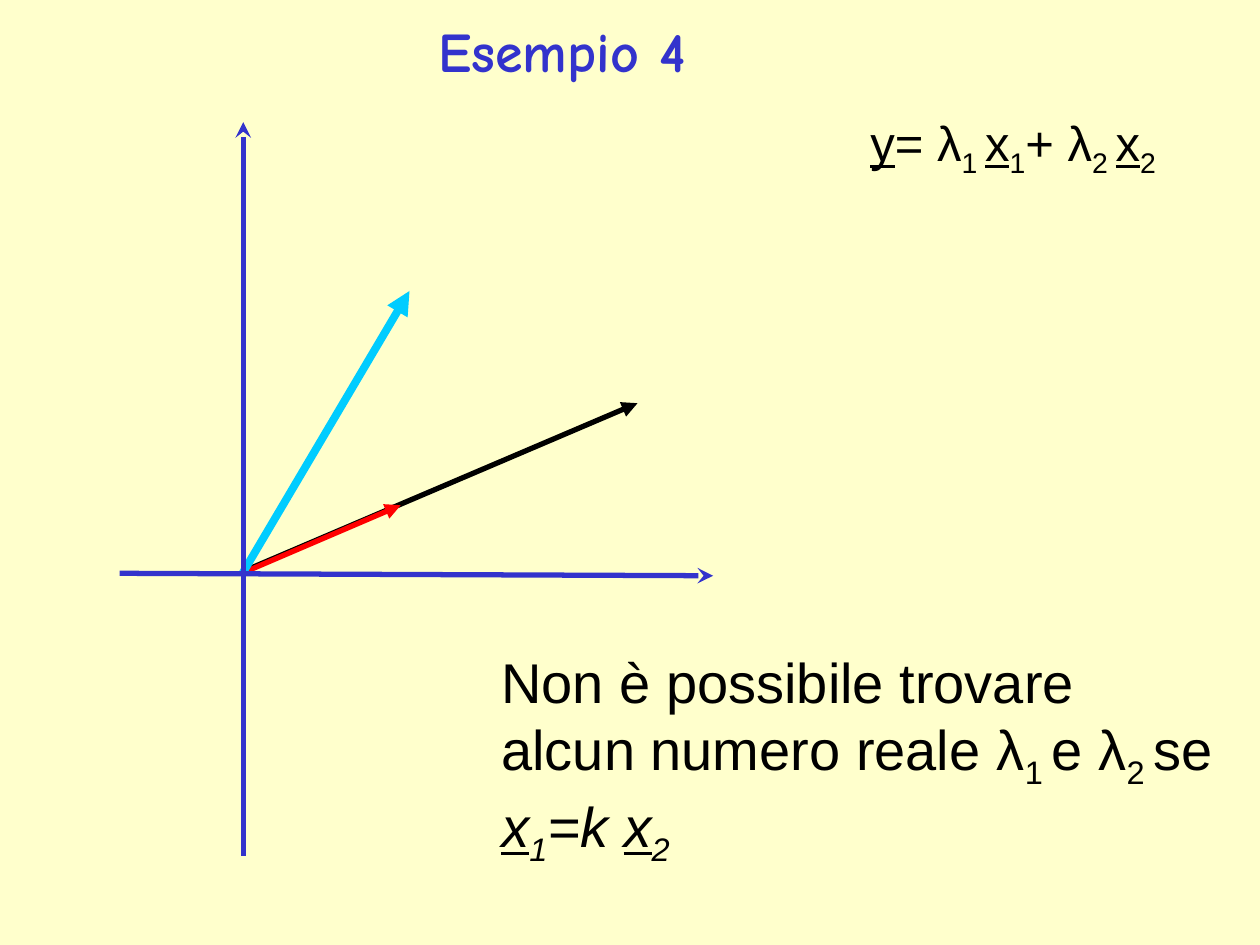
from lxml import etree
from pptx import Presentation
from pptx.dml.color import RGBColor
from pptx.enum.shapes import MSO_CONNECTOR
from pptx.enum.text import MSO_ANCHOR
from pptx.oxml.ns import qn
from pptx.util import Pt

STRAIGHT = MSO_CONNECTOR.STRAIGHT
TOP = MSO_ANCHOR.TOP
MIDDLE = MSO_ANCHOR.MIDDLE

COLOURS = {
    "paper": "FFFFCC",
    "ink": "000000",
    "blue": "3333CC",
    "red": "FF0000",
    "cyan": "00CCFF",
}


class SlideWriter:
    def __init__(self, deck):
        self.font = "Arial"
        self.page = deck.slides.add_slide(deck.slide_layouts[6])
        fill = self.page.background.fill
        fill.solid()
        fill.fore_color.rgb = self.colour("paper")

    def colour(self, name):
        return RGBColor.from_string(COLOURS[name])

    def arrow(self, start, end, colour, width=3, head="triangle"):
        points = [Pt(value) for value in (*start, *end)]
        connector = self.page.shapes.add_connector(STRAIGHT, *points)
        connector.line.color.rgb = self.colour(colour)
        connector.line.width = Pt(width)
        outline = connector.line._get_or_add_ln()
        etree.SubElement(outline, qn("a:tailEnd"), type=head)
        etree.SubElement(connector._element.spPr, qn("a:effectLst"))

    def text(self, place, spans, size, colour="ink", font=None,
             bold=False, wrap=True, anchor=TOP, spacing=None):
        box = self.page.shapes.add_textbox(*[Pt(value) for value in place])
        frame = box.text_frame
        frame.word_wrap = wrap
        frame.vertical_anchor = anchor
        para = frame.paragraphs[0]
        para.line_spacing = spacing
        for words, marks in spans:
            span = para.add_run()
            span.text = words
            span.font.name = font or self.font
            span.font.size = Pt(size)
            span.font.bold = bold
            span.font.italic = "i" in marks
            span.font.underline = "u" in marks
            span.font.color.rgb = self.colour(colour)
            if "s" in marks:
                span.font._element.set("baseline", "-25000")


def main():
    deck = Presentation()
    deck.slide_width = Pt(720)
    deck.slide_height = Pt(540)
    writer = SlideWriter(deck)

    writer.arrow((139.7, 326.2), (364.3, 230.4), "ink")
    writer.arrow((138.2, 327.6), (229, 288.7), "red")
    writer.arrow((138.2, 328.3), (234, 166.3), "cyan", width=4.5)

    conclusion = [
        ("Non è possibile trovare alcun numero reale λ", ""),
        ("1 ", "s"),
        ("e λ", ""),
        ("2 ", "s"),
        ("se ", ""),
        ("x", "iu"),
        ("1", "is"),
        ("=k ", "i"),
        ("x", "iu"),
        ("2", "is"),
    ]
    writer.text((279.4, 366.5, 424.8, 122.4), conclusion, 32)
    writer.text((243.4, 0, 182.9, 62.6), [("Esempio 4", "")], 32, "blue",
                font="Comic Neue", bold=True, anchor=MIDDLE, spacing=0.9)

    writer.arrow((139, 488.9), (139, 69.8), "blue", head="stealth")
    writer.arrow((68.4, 327.6), (407.5, 329), "blue", head="stealth")

    combination = [
        ("y", "u"),
        ("= λ", ""),
        ("1 ", "s"),
        ("x", "u"),
        ("1", "s"),
        ("+ λ", ""),
        ("2 ", "s"),
        ("x", "u"),
        ("2", "s"),
    ]
    writer.text((490.3, 60.5, 188.6, 41), combination, 28, wrap=False)

    deck.save("out.pptx")


if __name__ == "__main__":
    main()
